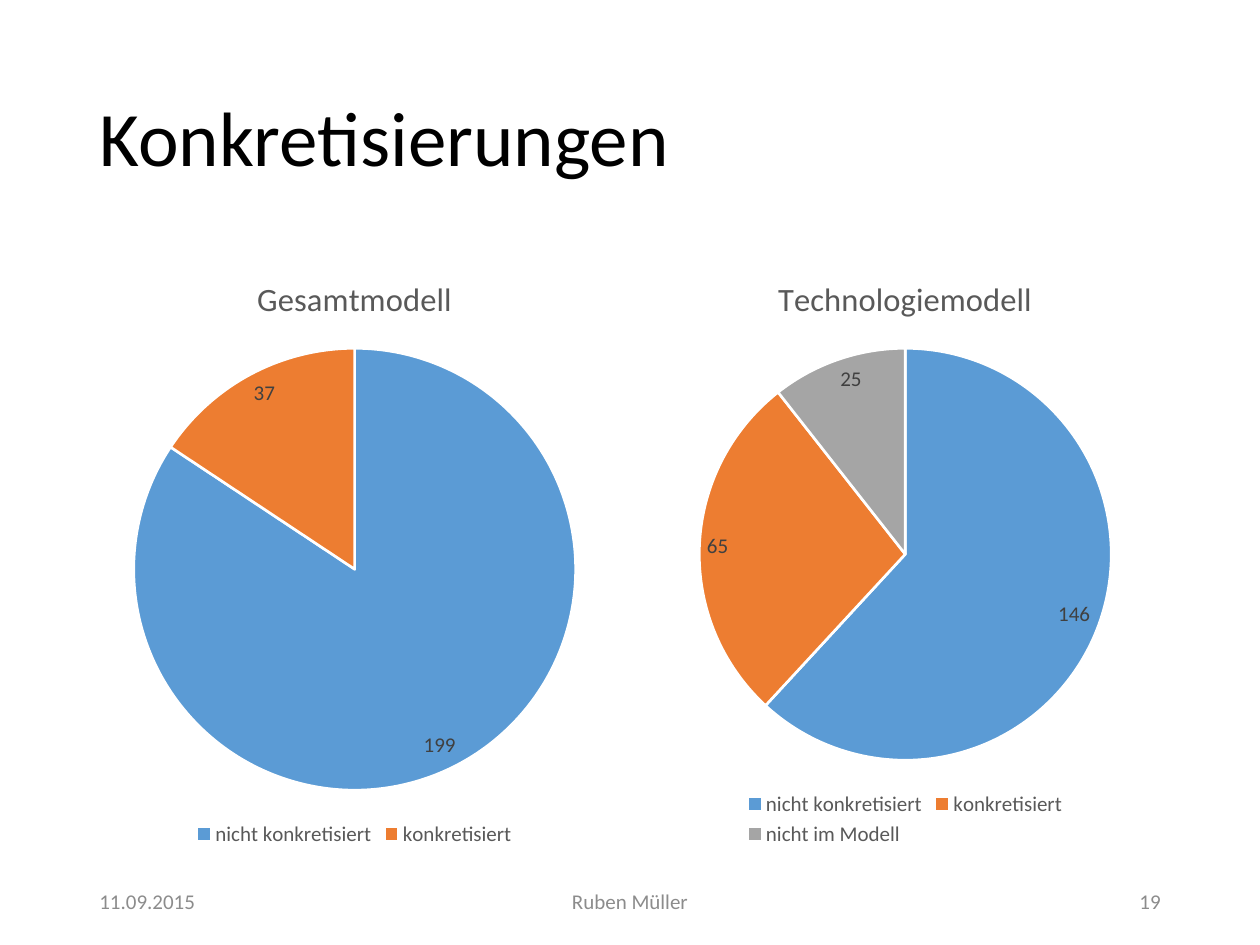
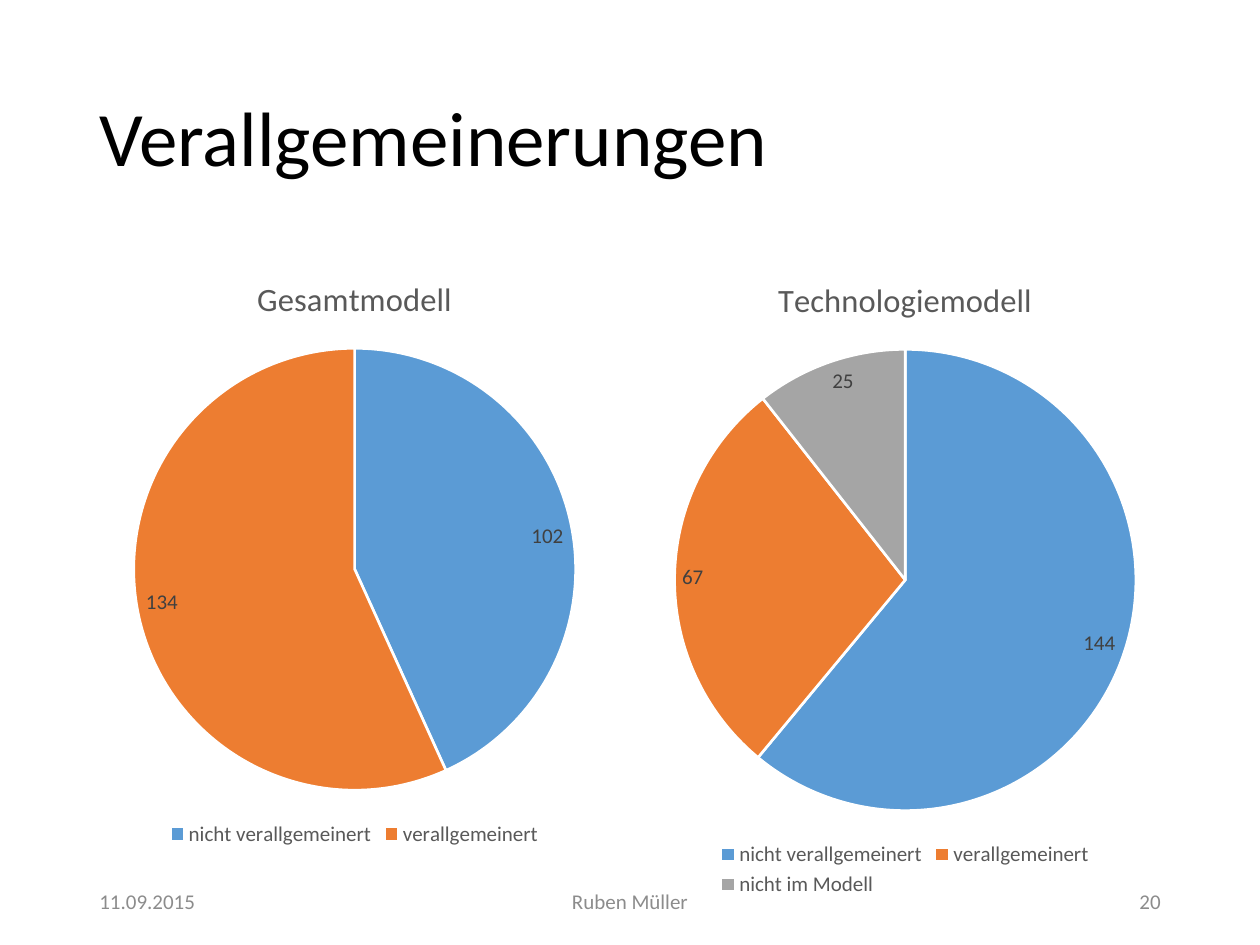
from pptx import Presentation
from pptx.chart.data import CategoryChartData
from pptx.dml.color import RGBColor
from pptx.enum.chart import XL_CHART_TYPE as ChartType
from pptx.enum.chart import XL_LABEL_POSITION as LabelPosition
from pptx.enum.chart import XL_LEGEND_POSITION as LegendPosition
from pptx.enum.text import MSO_ANCHOR as Anchor
from pptx.enum.text import PP_ALIGN as Align
from pptx.util import Inches, Pt

FONT = "Calibri"
BLACK = RGBColor(0x00, 0x00, 0x00)
WHITE = RGBColor(0xFF, 0xFF, 0xFF)
FOOTER_GREY = RGBColor(0x8C, 0x8C, 0x8C)
CHART_GREY = RGBColor(0x59, 0x59, 0x59)
LABEL_GREY = RGBColor(0x40, 0x40, 0x40)
BLUE = RGBColor(0x5B, 0x9B, 0xD5)
ORANGE = RGBColor(0xED, 0x7D, 0x31)
GREY = RGBColor(0xA5, 0xA5, 0xA5)
SLICE_COLORS = (BLUE, ORANGE, GREY)

MARGIN = 0.69
CHART_TOP = 2
CHART_WIDTH = 4.25
CHART_HEIGHT = 4.76
RIGHT_CHART_LEFT = 5.06
FOOTER_TOP = 6.95
FOOTER_HEIGHT = 0.4

DATE = "11.09.2015"
AUTHOR = "Ruben Müller"
NOT_IN_MODEL = "nicht im Modell"


def style_font(font, size, color):
    font.name = FONT
    font.size = Pt(size)
    font.bold = False
    font.color.rgb = color


def add_text(slide, text, left, top, width, height, size, color, align=Align.LEFT):
    box = slide.shapes.add_textbox(Inches(left), Inches(top), Inches(width), Inches(height))
    frame = box.text_frame
    frame.word_wrap = True
    frame.vertical_anchor = Anchor.MIDDLE
    paragraph = frame.paragraphs[0]
    paragraph.text = text
    paragraph.alignment = align
    style_font(paragraph.font, size, color)
    return paragraph


def add_title(slide, text):
    paragraph = add_text(slide, text, MARGIN, 0.4, 8.62, 1.45, 44, BLACK)
    paragraph.line_spacing = 0.9


def add_footer(slide, number):
    for text, left, width, align in (
        (DATE, MARGIN, 2.25, Align.LEFT),
        (AUTHOR, 3.31, 3.38, Align.CENTER),
        (str(number), 7.06, 2.25, Align.RIGHT),
    ):
        add_text(slide, text, left, FOOTER_TOP, width, FOOTER_HEIGHT, 12, FOOTER_GREY, align)


def add_pie(slide, title, categories, values, left, height=CHART_HEIGHT):
    data = CategoryChartData()
    data.categories = categories
    data.add_series(title, values)
    frame = slide.shapes.add_chart(
        ChartType.PIE, Inches(left), Inches(CHART_TOP), Inches(CHART_WIDTH), Inches(height), data
    )
    chart = frame.chart
    style_font(chart.font, 10, BLACK)

    chart.has_title = True
    heading = chart.chart_title.text_frame.paragraphs[0]
    heading.text = title
    style_font(heading.font, 18.6, CHART_GREY)
    chart.chart_title.include_in_layout = False

    chart.has_legend = True
    chart.legend.position = LegendPosition.BOTTOM
    chart.legend.include_in_layout = False
    style_font(chart.legend.font, 12, CHART_GREY)

    plot = chart.plots[0]
    plot.vary_by_categories = True
    plot.has_data_labels = True
    labels = plot.data_labels
    labels.show_value = True
    labels.show_percentage = False
    labels.position = LabelPosition.INSIDE_END
    style_font(labels.font, 12, LABEL_GREY)

    for index, color in enumerate(SLICE_COLORS[:len(values)]):
        slice_format = plot.series[0].points[index].format
        slice_format.fill.solid()
        slice_format.fill.fore_color.rgb = color
        slice_format.line.color.rgb = WHITE
        slice_format.line.width = Pt(1.5)


def add_model_slide(presentation, title, number, word, overall, technology,
                    technology_height=CHART_HEIGHT):
    slide = presentation.slides.add_slide(presentation.slide_layouts[6])
    categories = [f"nicht {word}", word]
    add_title(slide, title)
    add_pie(slide, "Gesamtmodell", categories, overall, MARGIN)
    add_pie(slide, "Technologiemodell", categories + [NOT_IN_MODEL], technology,
            RIGHT_CHART_LEFT, technology_height)
    add_footer(slide, number)


def main():
    presentation = Presentation()
    presentation.slide_width = Inches(10)
    presentation.slide_height = Inches(7.5)
    add_model_slide(presentation, "Konkretisierungen", 19, "konkretisiert",
                    (199, 37), (146, 65, 25))
    add_model_slide(presentation, "Verallgemeinerungen", 20, "verallgemeinert",
                    (102, 134), (144, 67, 25), technology_height=5.16)
    presentation.save("out.pptx")


if __name__ == "__main__":
    main()
